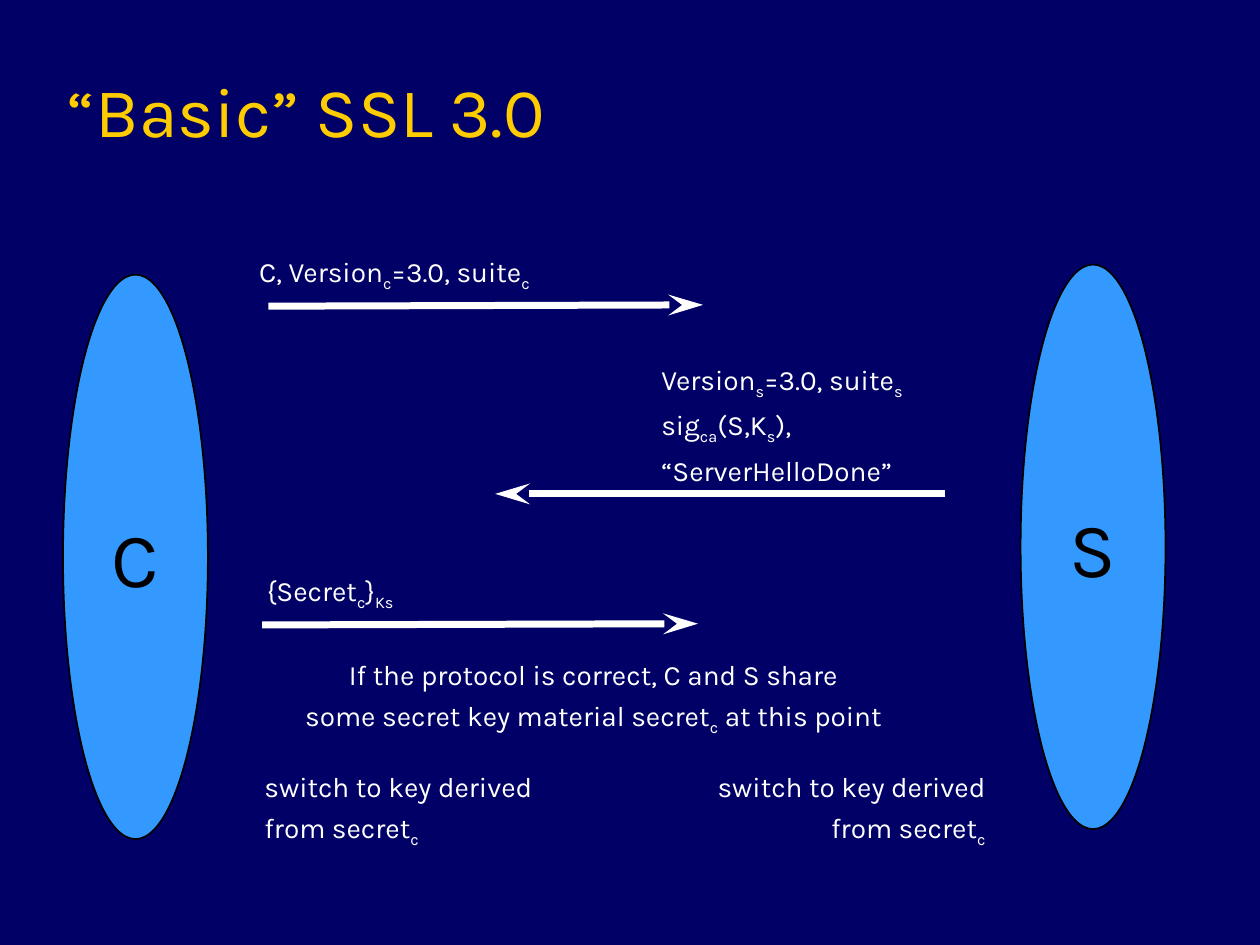
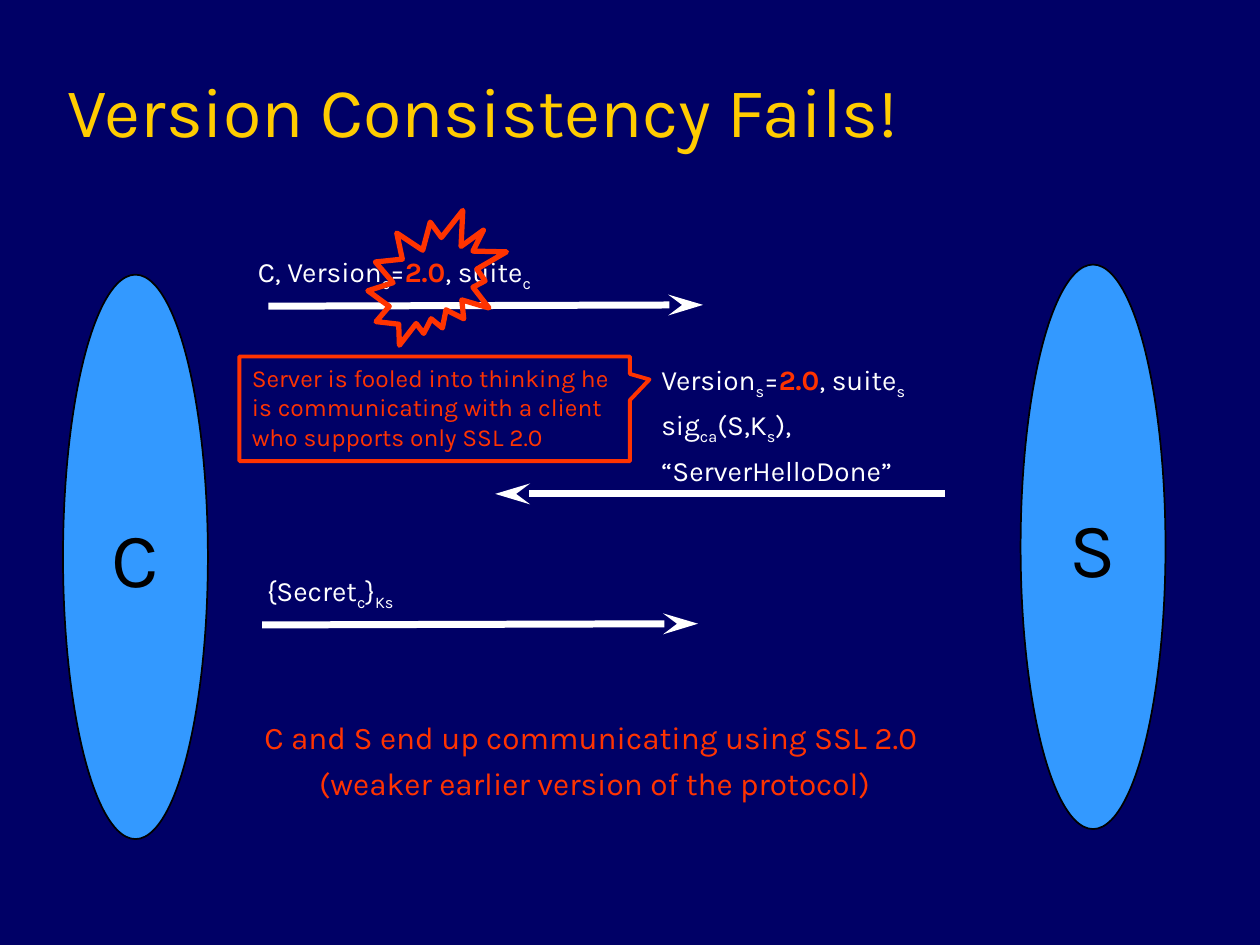
from lxml import etree
from pptx import Presentation
from pptx.dml.color import RGBColor
from pptx.enum.shapes import MSO_CONNECTOR, MSO_SHAPE
from pptx.enum.text import MSO_ANCHOR, MSO_AUTO_SIZE, PP_ALIGN
from pptx.oxml.ns import qn
from pptx.util import Inches, Pt

LEFT, CENTER, RIGHT = PP_ALIGN.LEFT, PP_ALIGN.CENTER, PP_ALIGN.RIGHT
TOP, MIDDLE, BOTTOM = MSO_ANCHOR.TOP, MSO_ANCHOR.MIDDLE, MSO_ANCHOR.BOTTOM
FIT, FIXED = MSO_AUTO_SIZE.SHAPE_TO_FIT_TEXT, MSO_AUTO_SIZE.NONE
OVAL, BURST = MSO_SHAPE.OVAL, MSO_SHAPE.EXPLOSION2
CALLOUT, STRAIGHT = MSO_SHAPE.RECTANGULAR_CALLOUT, MSO_CONNECTOR.STRAIGHT

FONT = "Karla"
COLORS = {"back": "000066", "title": "FFCC00", "party": "3399FF",
          "ink": "000000", "text": "FFFFFF", "alert": "FF3300"}

# Grid of 100 columns by 75 rows; boxes are (column, row, columns, rows)
COLS, ROWS = 100, 75
CELL = Inches(10) / COLS
TITLE = (4.4, 2.5, 85, 10)
CLIENT = (5, 21.8, 11.5, 44.8)
SERVER = (81, 21, 11.5, 44.8)
EXCHANGE = (19, 19, 60, 32)
OUTCOME = (19, 51, 62, 17)


def grid(*cells):
    return [round(c * CELL) for c in cells]


def inside(box, x, y, w, h):
    """Box whose place is counted from the corner of another box."""
    return box[0] + x, box[1] + y, w, h


def rgb(name):
    return RGBColor.from_string(COLORS[name])


def write(sp, text, size=16, color="text", align=LEFT, anchor=TOP,
          before=4, wrap=False, fit=FIXED):
    """Fill a shape with text: ~x~ is a subscript, *x* is an alert."""
    tf = sp.text_frame
    tf.word_wrap, tf.auto_size, tf.vertical_anchor = wrap, fit, anchor
    for i, line in enumerate(text.split("\n")):
        p = tf.paragraphs[0] if i == 0 else tf.add_paragraph()
        p.alignment, p.space_before = align, Pt(before)
        for j, part in enumerate(line.split("~")):
            for k, piece in enumerate(part.split("*")):
                if not piece:
                    continue
                r = p.add_run()
                r.text = piece
                r.font.name, r.font.size = FONT, Pt(size)
                r.font.bold = k % 2 == 1
                r.font.color.rgb = rgb("alert" if k % 2 else color)
                if j % 2:
                    r._r.get_or_add_rPr().set("baseline", "-25000")


def add_label(s, box, text, fit=FIT, **fmt):
    write(s.shapes.add_textbox(*grid(*box)), text, fit=fit, **fmt)


def add_outline(s, kind, box, line, width, fill=None):
    sp = s.shapes.add_shape(kind, *grid(*box))
    sp.shadow.inherit = False
    if fill:
        sp.fill.solid()
        sp.fill.fore_color.rgb = rgb(fill)
    else:
        sp.fill.background()
    sp.line.color.rgb, sp.line.width = rgb(line), Pt(width)
    return sp


def add_arrow(s, box, x1, y1, x2, y2):
    x, y = box[:2]
    cx = s.shapes.add_connector(STRAIGHT, *grid(x + x1, y + y1, x + x2, y + y2))
    cx.line.color.rgb, cx.line.width = rgb("text"), Pt(4)
    etree.SubElement(cx.line._get_or_add_ln(), qn("a:tailEnd"),
                     type="stealth", w="med", len="lg")
    etree.SubElement(cx._element.spPr, qn("a:effectLst"))


def add_party(s, box, name):
    sp = add_outline(s, OVAL, box, "ink", 1, fill="party")
    write(sp, name, size=44, color="ink", align=CENTER, anchor=MIDDLE, before=11)


def add_exchange(s, box, version):
    """The three messages between client and server."""
    add_arrow(s, box, 2.3, 5.3, 36.8, 5.2)
    add_arrow(s, box, 56, 20.2, 20.3, 20.2)
    add_arrow(s, box, 1.8, 30.6, 36.4, 30.5)
    add_label(s, inside(box, 0.2, 0.7, 24.2, 4.1),
              f"C, Version~c~={version}, suite~c~", align=CENTER)
    add_label(s, inside(box, 32.5, 9.3, 21.7, 10.9),
              f"Version~s~={version}, suite~s~\nsig~ca~(S,K~s~),\n“ServerHelloDone”")
    add_label(s, inside(box, 1.1, 26, 12.2, 4.1), "{Secret~c~}~Ks~", align=CENTER)


def add_shared_secret(s, box):
    """What both sides do once the secret is shared."""
    add_label(s, inside(box, 3.8, 0.7, 48.6, 7.3),
              "If the protocol is correct, C and S share\n"
              "some secret key material secret~c~ at this point", align=CENTER)
    for x, align in ((1, LEFT), (36.3, RIGHT)):
        add_label(s, inside(box, x, 9.6, 23.9, 7.3),
                  "switch to key derived\nfrom secret~c~", align=align)


def add_attack(s, box):
    """Burst over the changed version, and the callout explaining it."""
    add_outline(s, BURST, inside(box, 10.2, -2.3, 11, 10.7), "alert", 3)
    sp = add_outline(s, CALLOUT, inside(box, 0, 9.3, 31, 8.3), "alert", 2.25)
    sp.adjustments[0], sp.adjustments[1] = 0.55, -0.28
    write(sp, "Server is fooled into thinking he is communicating "
          "with a client who supports only SSL 2.0",
          size=14, color="alert", before=3.5, wrap=True)


def add_downgrade(s, box):
    add_label(s, inside(box, 0.6, 5.5, 55.2, 7.7),
              "C and S end up communicating using SSL 2.0 \n"
              "(weaker earlier version of the protocol)",
              size=18, color="alert", align=CENTER, before=4.5)


def add_protocol_slide(prs, title, version):
    s = prs.slides.add_slide(prs.slide_layouts[6])
    s.background.fill.solid()
    s.background.fill.fore_color.rgb = rgb("back")
    add_label(s, TITLE, title, fit=FIXED, size=40, color="title",
              anchor=BOTTOM, before=0, wrap=True)
    add_party(s, CLIENT, "C")
    add_party(s, SERVER, "S")
    add_exchange(s, EXCHANGE, version)
    return s


def main():
    prs = Presentation()
    prs.slide_width, prs.slide_height = grid(COLS, ROWS)

    # Normal run
    s = add_protocol_slide(prs, "“Basic” SSL 3.0", "3.0")
    add_shared_secret(s, OUTCOME)

    # Version rollback
    s = add_protocol_slide(prs, "Version Consistency Fails!", "*2.0*")
    add_downgrade(s, OUTCOME)
    add_attack(s, EXCHANGE)

    prs.save("out.pptx")


if __name__ == "__main__":
    main()
